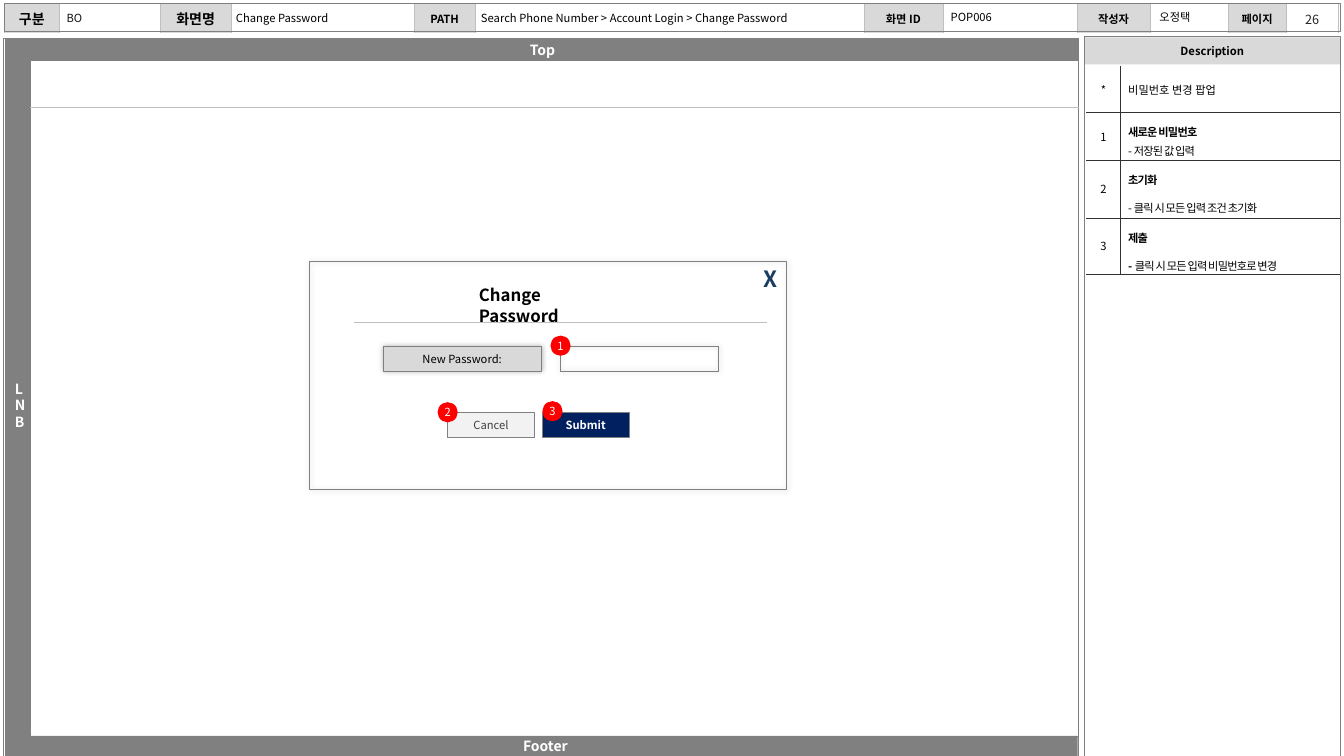
from lxml import etree
from pptx import Presentation
from pptx.dml.color import RGBColor
from pptx.enum.shapes import MSO_CONNECTOR, MSO_SHAPE
from pptx.enum.text import MSO_ANCHOR, PP_ALIGN
from pptx.oxml.ns import qn
from pptx.util import Pt

RECT, OVAL, STRAIGHT = MSO_SHAPE.RECTANGLE, MSO_SHAPE.OVAL, MSO_CONNECTOR.STRAIGHT
LEFT, CENTER, RIGHT = PP_ALIGN.LEFT, PP_ALIGN.CENTER, PP_ALIGN.RIGHT
TOP, MIDDLE = MSO_ANCHOR.TOP, MSO_ANCHOR.MIDDLE
FONT = "Noto Sans CJK KR"
EMU_PER_PX = 9144

BLACK = RGBColor(0, 0, 0)
WHITE = RGBColor(255, 255, 255)
GRAY = RGBColor(0x80, 0x80, 0x80)
SILVER = RGBColor(0xBF, 0xBF, 0xBF)
LABEL_GRAY = RGBColor(0xD9, 0xD9, 0xD9)
PALE = RGBColor(0xF2, 0xF2, 0xF2)
CHARCOAL = RGBColor(0x31, 0x31, 0x31)
CANCEL_TEXT = RGBColor(0x40, 0x40, 0x40)
PAGE_TEXT = RGBColor(0x26, 0x26, 0x26)
SITE_TEXT = RGBColor(0x11, 0x11, 0x11)
NAVY = RGBColor(0, 0x20, 0x60)
CLOSE_BLUE = RGBColor(0x1C, 0x3D, 0x62)
RED = RGBColor(255, 0, 0)

SIDES = ("a:lnL", "a:lnR", "a:lnT", "a:lnB")
HEADER_WIDTHS = (55, 100, 70, 182, 60, 386, 78, 133, 73, 77, 58, 51)
HEADER_LABELS = (("구분", 10), ("화면명", 10), ("PATH", 8),
                 ("화면 ID", 8), ("작성자", 8), ("페이지", 8))
DESCRIPTION_ROWS = (
    (45, "*", None, (("비밀번호 변경 팝업", False),), 0),
    (48, "1", "새로운 비밀번호", (("- 저장된 값 입력", False),), 0),
    (57, "2", "초기화", (("- 클릭 시 모든 입력 조건 초기화", False),), 6),
    (56, "3", "제출", (("-", True), (" 클릭 시 모든 입력 비밀번호로 변경", False)), 6),
)


def px(*lengths):
    return [length * EMU_PER_PX for length in lengths]


def add_run(paragraph, text, size=8, color=BLACK, bold=False, spacing=0):
    run = paragraph.add_run()
    run.text = text
    run.font.size = Pt(size)
    run.font.bold = bold
    run.font.name = FONT
    run.font.color.rgb = color
    properties = run.font._element
    etree.SubElement(properties, qn("a:ea"), typeface=FONT)
    if spacing:
        properties.set("spc", str(spacing))


def set_insets(holder, insets):
    (holder.margin_left, holder.margin_top,
     holder.margin_right, holder.margin_bottom) = px(*insets)


def write(frame, text, align, anchor, insets, wrap=True, **style):
    frame.word_wrap = wrap
    frame.vertical_anchor = anchor
    set_insets(frame, insets)
    paragraph = frame.paragraphs[0]
    paragraph.alignment = align
    add_run(paragraph, text, **style)
    return paragraph


def add_label(slide, box, text, align=LEFT, anchor=TOP, insets=(5, 5, 5, 5), **style):
    label = slide.shapes.add_textbox(*px(*box))
    write(label.text_frame, text, align, anchor, insets, **style)


def add_box(slide, box, fill=None, line=None, width=0.5, kind=RECT, glow=False):
    shape = slide.shapes.add_shape(kind, *px(*box))
    shape.shadow.inherit = False
    if fill is None:
        shape.fill.background()
    else:
        shape.fill.solid()
        shape.fill.fore_color.rgb = fill
    if line is None:
        shape.line.fill.background()
    else:
        shape.line.color.rgb = line
        shape.line.width = Pt(width)
    if glow:
        effects = shape._element.spPr.find(qn("a:effectLst"))
        shadow = etree.SubElement(effects, qn("a:outerShdw"), blurRad=str(Pt(4)),
                                  dist="0", dir="0", algn="ctr", rotWithShape="0")
        color = etree.SubElement(shadow, qn("a:srgbClr"), val=str(BLACK))
        etree.SubElement(color, qn("a:alpha"), val="30000")
    return shape


def add_panel(slide, box, text, fill, line=GRAY, width=0.5, glow=False,
              insets=(0, 4, 0, 4), **style):
    panel = add_box(slide, box, fill, line, width, glow=glow)
    return write(panel.text_frame, text, CENTER, MIDDLE, insets, **style)


def add_badge(slide, left, top, number):
    badge = add_box(slide, (left, top, 20, 20), RED, kind=OVAL)
    write(badge.text_frame, number, CENTER, MIDDLE, (0, 5, 0, 5), color=WHITE)


def add_rule(slide, left, right, y):
    rule = slide.shapes.add_connector(STRAIGHT, *px(left, y, right, y))
    rule.line.color.rgb = SILVER
    rule.line.width = Pt(0.25)
    etree.SubElement(rule._element.spPr, qn("a:effectLst"))


def style_cell(cell, fill, borders, insets):
    properties = cell._tc.get_or_add_tcPr()
    for side, (color, width) in zip(SIDES, borders):
        edge = etree.SubElement(properties, qn(side), w=str(Pt(width)))
        solid = etree.SubElement(edge, qn("a:solidFill"))
        etree.SubElement(solid, qn("a:srgbClr"), val=str(color))
    if fill is None:
        cell.fill.background()
    else:
        cell.fill.solid()
        cell.fill.fore_color.rgb = fill
    cell.vertical_anchor = MIDDLE
    set_insets(cell, insets)


def add_grid(slide, left, top, widths, heights):
    frame = slide.shapes.add_table(len(heights), len(widths),
                                   *px(left, top, sum(widths), sum(heights)))
    table = frame.table
    table.first_row = table.horz_banding = False
    for column, width in zip(table.columns, px(*widths)):
        column.width = width
    for row, height in zip(table.rows, px(*heights)):
        row.height = height
    return table


def add_header_table(slide):
    table = add_grid(slide, 4, 3, HEADER_WIDTHS, (28,))
    silver, white = (SILVER, 0.25), (WHITE, 0.25)
    for index in range(len(HEADER_WIDTHS)):
        cell = table.cell(0, index)
        is_label = index % 2 == 0
        style_cell(cell, LABEL_GRAY if is_label else None,
                   (silver, silver, white, white), (12, 5, 12, 5))
        paragraph = cell.text_frame.paragraphs[0]
        if is_label:
            text, size = HEADER_LABELS[index // 2]
            paragraph.alignment = CENTER
            add_run(paragraph, text, size, bold=True)
        else:
            etree.SubElement(paragraph._p, qn("a:endParaRPr"), sz="800")


def add_description_table(slide):
    table = add_grid(slide, 1078, 66, (33, 217), [row[0] for row in DESCRIPTION_ROWS])
    dark, white = (CHARCOAL, 0.25), (WHITE, 1)
    for index, (_, number, title, details, gap) in enumerate(DESCRIPTION_ROWS):
        above = dark if index else white
        number_cell, text_cell = table.cell(index, 0), table.cell(index, 1)
        style_cell(number_cell, WHITE, (white, dark, above, dark), (8, 8, 8, 8))
        style_cell(text_cell, WHITE, (dark, white, above, dark), (8, 8, 8, 8))
        paragraph = number_cell.text_frame.paragraphs[0]
        paragraph.alignment = CENTER
        paragraph.space_after = Pt(6)
        add_run(paragraph, number)
        frame = text_cell.text_frame
        paragraph = frame.paragraphs[0]
        if title:
            add_run(paragraph, title, bold=True, spacing=-60)
            paragraph = frame.add_paragraph()
        for text, bold in details:
            add_run(paragraph, text, bold=bold, spacing=-60 if title else 0)
        if title:
            for paragraph in frame.paragraphs:
                paragraph.line_spacing = 1.2
                paragraph.space_after = Pt(gap)


def add_screen_frame(slide):
    add_box(slide, (3, 38, 1067, 712), WHITE, GRAY)
    add_panel(slide, (1076, 37, 253, 27), "Description", LABEL_GRAY, None, bold=True)
    add_header_table(slide)
    add_box(slide, (4, 3, 1325, 28), line=GRAY)
    add_box(slide, (1076, 36, 253, 714), line=GRAY)
    bar = dict(fill=GRAY, width=0.25, size=10, color=WHITE, bold=True)
    side_menu = add_panel(slide, (5, 38, 25, 712), "LNB", insets=(10, 21, 4, 5), **bar)
    side_menu.alignment = LEFT
    add_panel(slide, (13, 730, 1056, 20), "Footer", **bar)
    add_panel(slide, (7, 38, 1062, 22), "Top", **bar)
    add_rule(slide, 30, 1070, 106)


def add_header_values(slide):
    add_label(slide, (1278, 5, 47, 28), "26", CENTER, MIDDLE, size=9, color=PAGE_TEXT)
    add_label(slide, (472, 6, 385, 24),
              "Search Phone Number > Account Login > Change Password")
    add_label(slide, (229, 6, 181, 24), "Change Password")
    add_label(slide, (61, 6, 95, 24), "BO", color=SITE_TEXT)
    add_label(slide, (1145, 5, 73, 24), "오정택")
    add_label(slide, (938, 5, 73, 23), "POP006")


def add_popup(slide):
    add_label(slide, (470, 278, 152, 30), "Change Password", size=12, bold=True)
    add_box(slide, (556, 344, 157, 24), line=GRAY, glow=True)
    add_box(slide, (307, 259, 473, 227), line=GRAY, glow=True)
    add_panel(slide, (380, 344, 157, 24), "New Password:", LABEL_GRAY, glow=True, wrap=False)
    add_panel(slide, (538, 409, 86, 25), "Submit", NAVY, color=WHITE, bold=True)
    add_panel(slide, (444, 409, 86, 25), "Cancel", PALE, color=CANCEL_TEXT)
    add_label(slide, (716, 258, 65, 37), "X", RIGHT, insets=(10, 5, 10, 5),
              size=16, color=CLOSE_BLUE, bold=True)
    add_rule(slide, 351, 761, 320)
    for left, top, number in ((546, 333, "1"), (434, 399, "2"), (538, 398, "3")):
        add_badge(slide, left, top, number)


def main():
    deck = Presentation()
    deck.slide_width, deck.slide_height = px(1333, 750)
    slide = deck.slides.add_slide(deck.slide_layouts[6])
    add_screen_frame(slide)
    add_header_values(slide)
    add_popup(slide)
    add_description_table(slide)
    deck.save("out.pptx")


if __name__ == "__main__":
    main()
